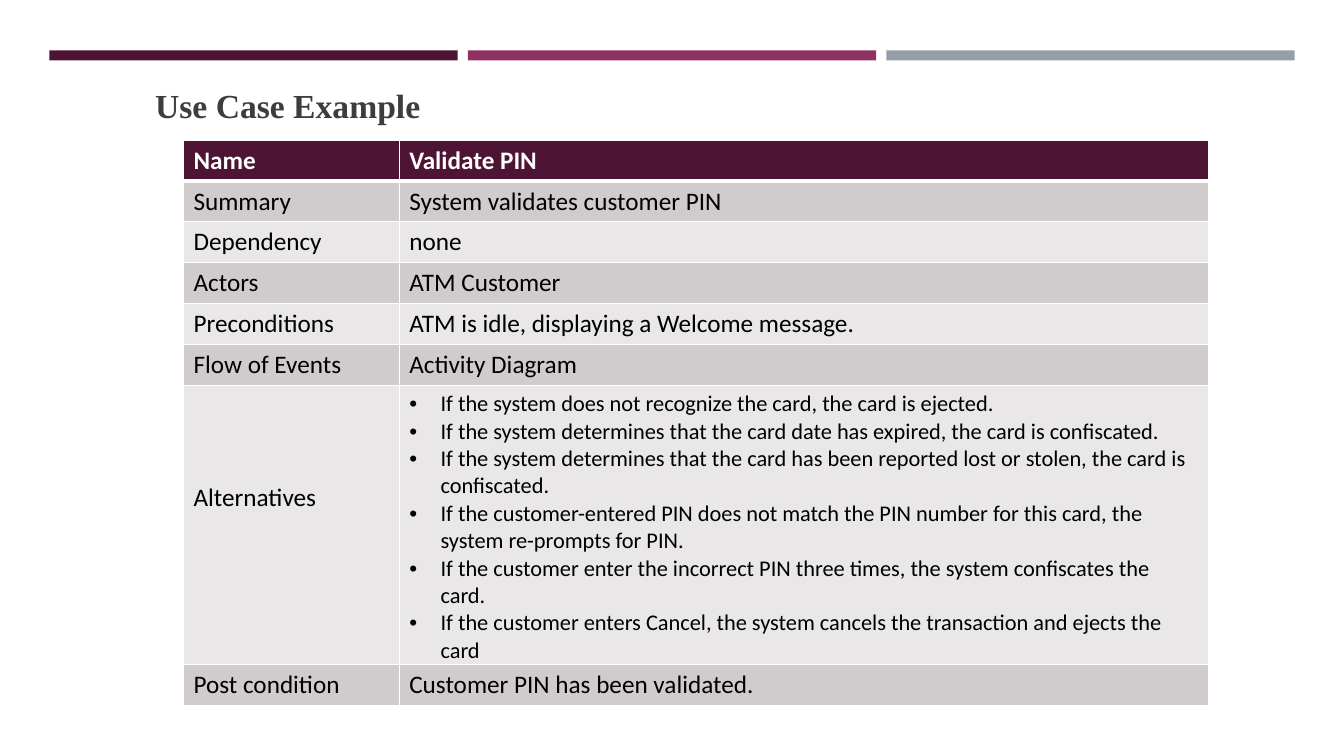
import pptx
import pptx.dml.color
import pptx.enum.shapes
import pptx.enum.text
import pptx.oxml
import pptx.oxml.ns
import pptx.util
from dataclasses import dataclass

Inches = pptx.util.Inches
Pt = pptx.util.Pt


@dataclass(frozen=True)
class Theme:
    plum: str = "4D1434"
    berry: str = "903163"
    slate: str = "969FA7"
    heading: str = "3D3D3D"
    ink: str = "000000"
    white: str = "FFFFFF"
    dark_band: str = "D0CCCE"
    light_band: str = "E9E7E8"
    heading_font: str = "Times New Roman"
    body_font: str = "Calibri"
    heading_size: int = 24
    body_size: int = 18
    bullet_size: int = 16


ALTERNATIVES = [
    "If the system does not recognize the card, the card is ejected.",
    "If the system determines that the card date has expired, the card is confiscated.",
    "If the system determines that the card has been reported lost or stolen, the card is confiscated.",
    "If the customer-entered PIN does not match the PIN number for this card, the system re-prompts for PIN.",
    "If the customer enter the incorrect PIN three times, the system confiscates the card.",
    "If the customer enters Cancel, the system cancels the transaction and ejects the card",
]
USE_CASE = [
    ("Name", "Validate PIN"),
    ("Summary", "System validates customer PIN"),
    ("Dependency", "none"),
    ("Actors", "ATM Customer"),
    ("Preconditions", "ATM is idle, displaying a Welcome message."),
    ("Flow of Events", "Activity Diagram"),
    ("Alternatives", "\n".join(ALTERNATIVES)),
    ("Post condition", "Customer PIN has been validated."),
]


class SlideBuilder:
    def __init__(self, page, theme):
        self.page = page
        self.theme = theme

    def paint(self, target, color):
        target.fill.solid()
        target.fill.fore_color.rgb = pptx.dml.color.RGBColor.from_string(color)

    def style(self, frame, font, size, color, bold=False):
        for para in frame.paragraphs:
            for span in para.runs:
                span.font.name = font
                span.font.size = Pt(size)
                span.font.bold = bold
                span.font.color.rgb = pptx.dml.color.RGBColor.from_string(color)

    def bar(self, left, top, width, height, color):
        box = self.page.shapes.add_shape(
            pptx.enum.shapes.MSO_SHAPE.RECTANGLE,
            Inches(left), Inches(top), Inches(width), Inches(height))
        box.shadow.inherit = False
        self.paint(box, color)
        box.line.fill.background()

    def title(self, text, left, top, width, height):
        box = self.page.shapes.add_textbox(
            Inches(left), Inches(top), Inches(width), Inches(height))
        frame = box.text_frame
        frame.word_wrap = True
        frame.margin_top = Inches(0.09)
        frame.vertical_anchor = pptx.enum.text.MSO_ANCHOR.TOP
        frame.text = text
        self.style(frame, self.theme.heading_font, self.theme.heading_size,
                   self.theme.heading, bold=True)

    def borders(self, cell, widths):
        properties = cell._tc.get_or_add_tcPr()
        for position, (side, width) in enumerate(widths.items()):
            line = pptx.oxml.parse_xml(
                f'<a:{side} {pptx.oxml.ns.nsdecls("a")} w="{Pt(width)}">'
                f'<a:solidFill><a:srgbClr val="{self.theme.white}"/></a:solidFill>'
                f'</a:{side}>')
            properties.insert(position, line)

    def bullets(self, frame):
        for para in frame.paragraphs:
            properties = para._p.get_or_add_pPr()
            properties.set("marL", str(Inches(0.31)))
            properties.set("indent", str(Inches(-0.31)))
            properties.append(pptx.oxml.parse_xml(
                f'<a:buFont {pptx.oxml.ns.nsdecls("a")} typeface="Arial"/>'))
            properties.append(pptx.oxml.parse_xml(
                f'<a:buChar {pptx.oxml.ns.nsdecls("a")} char="•"/>'))

    def cell(self, cell, text, row):
        theme = self.theme
        header = row == 0
        bulleted = "\n" in text
        frame = cell.text_frame
        frame.text = text
        self.style(frame, theme.body_font,
                   theme.bullet_size if bulleted else theme.body_size,
                   theme.white if header else theme.ink, bold=header)
        if bulleted:
            self.bullets(frame)
            cell.margin_bottom = 0
        band = theme.dark_band if row % 2 else theme.light_band
        self.paint(cell, theme.plum if header else band)
        self.borders(cell, {"lnL": 1, "lnR": 1, "lnT": 3 if row == 1 else 1,
                            "lnB": 3 if header else 1})

    def table(self, rows, left, top, height, columns, tall_row, tall_height):
        table = self.page.shapes.add_table(
            len(rows), len(columns), Inches(left), Inches(top),
            Inches(sum(columns)), Inches(height)).table
        for column, width in zip(table.columns, columns):
            column.width = Inches(width)
        plain_height = (height - tall_height) / (len(rows) - 1)
        for row, texts in enumerate(rows):
            table.rows[row].height = Inches(tall_height if row == tall_row else plain_height)
            for column, text in enumerate(texts):
                self.cell(table.cell(row, column), text, row)
        return table


def main():
    deck = pptx.Presentation()
    deck.slide_width = Inches(13.33)
    deck.slide_height = Inches(7.5)
    theme = Theme()
    builder = SlideBuilder(deck.slides.add_slide(deck.slide_layouts[6]), theme)

    for index, color in enumerate((theme.plum, theme.berry, theme.slate)):
        builder.bar(0.49 + index * 4.15, 0.5, 4.05, 0.1, color)
    builder.title("Use Case Example", 1.44, 0.75, 8.92, 0.91)
    table = builder.table(USE_CASE, 1.82, 1.39, 5.61, (2.14, 8.03),
                          tall_row=6, tall_height=2.77)
    table.cell(6, 0).margin_top = Inches(0.96)

    deck.save("out.pptx")


if __name__ == "__main__":
    main()
